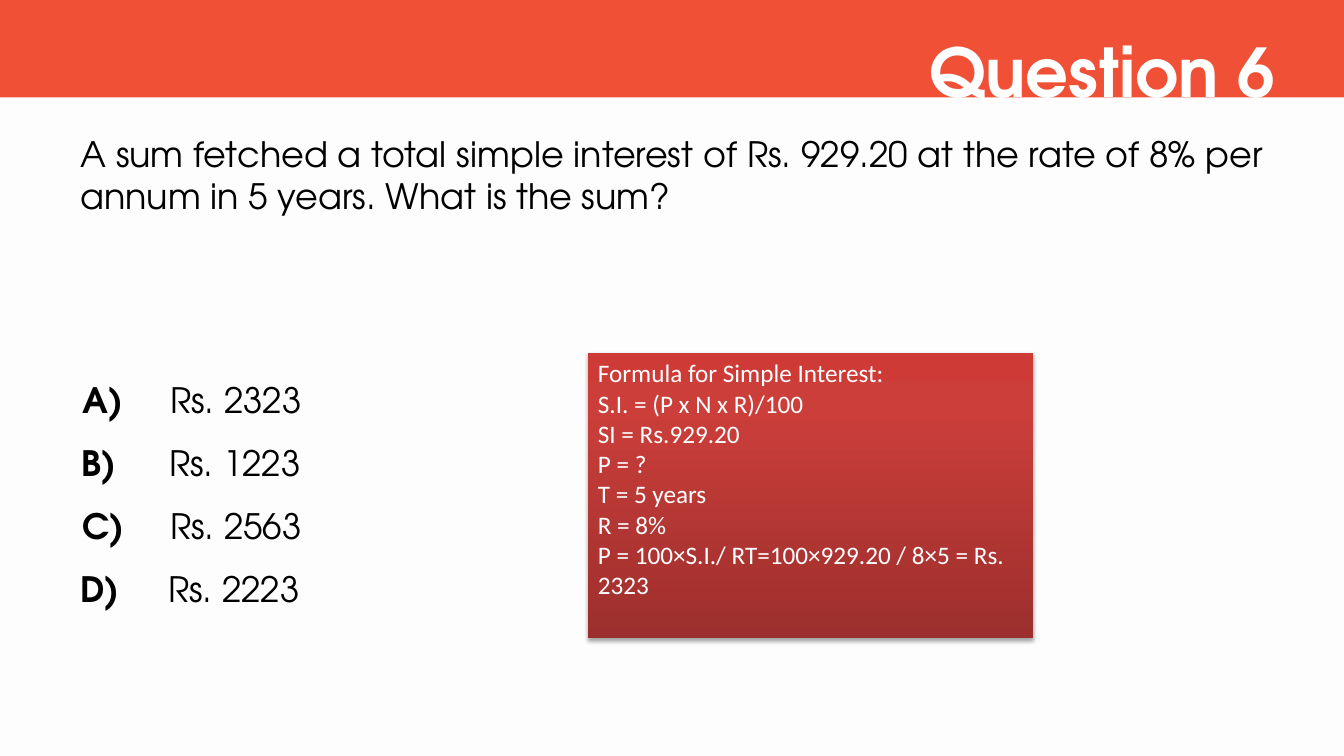
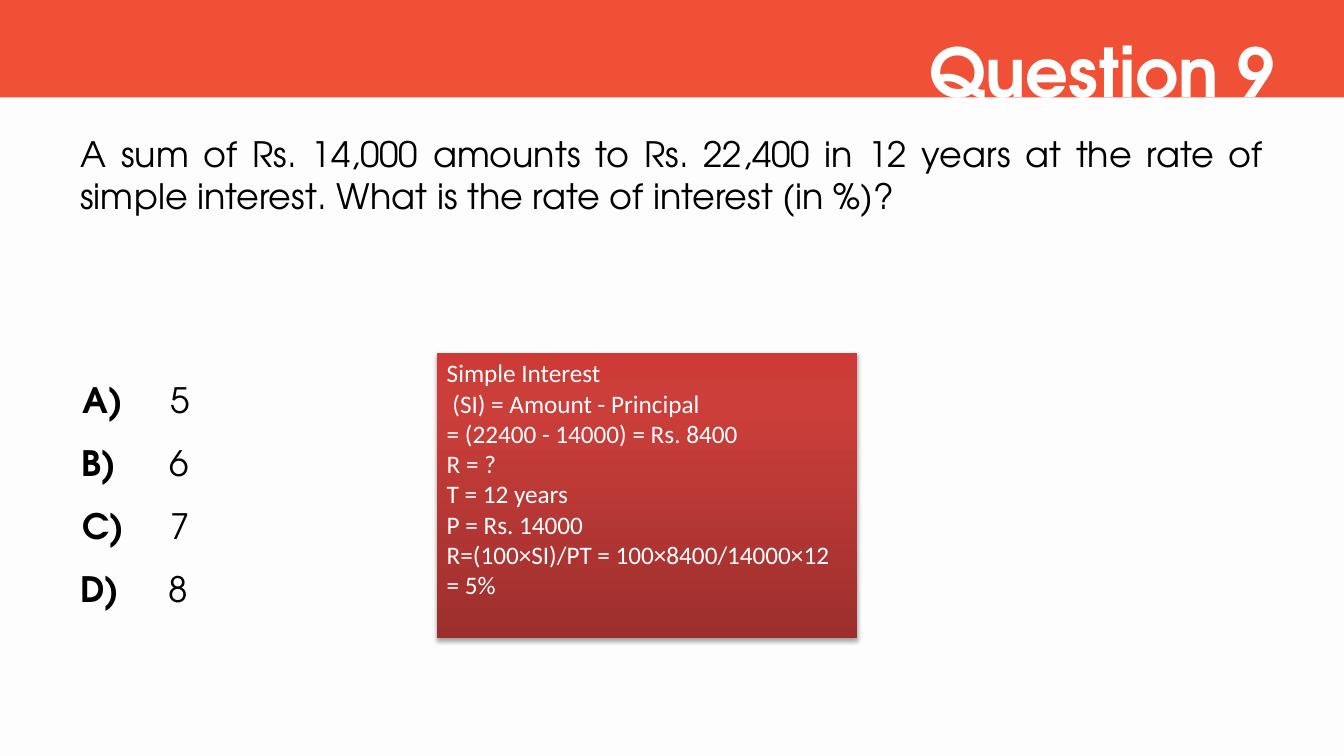
import copy

import lxml.etree
import pptx
import pptx.dml.color
import pptx.enum.shapes
import pptx.enum.text
import pptx.oxml.ns
import pptx.util

Pt = pptx.util.Pt
Align = pptx.enum.text.PP_ALIGN
qn = pptx.oxml.ns.qn


def color(value):
    return pptx.dml.color.RGBColor.from_string(value)


class QuizDeck:
    """Build quiz slides in one shared style."""

    WIDTH, HEIGHT = 960, 540
    HEADING_FONT, SOLUTION_FONT = "TeX Gyre Adventor", "Calibri"
    PAPER, BAND, INK, WHITE = "FDFDFD", "F05136", "000000", "FFFFFF"
    GRADIENT = ((0, "9C2F2D"), (0.8, "CB3E3A"), (1, "CE3B37"))
    OPTION_TOP, OPTION_STEP, ANSWER_OFFSET = 252, 45, 62.6
    OPTION_LEFTS = {"A)": 51.8, "B)": 51.1, "C)": 51.8, "D)": 50.4}

    def __init__(self):
        self.deck = pptx.Presentation()
        self.deck.slide_width = Pt(self.WIDTH)
        self.deck.slide_height = Pt(self.HEIGHT)
        self.page = None

    def add_page(self):
        self.page = self.deck.slides.add_slide(self.deck.slide_layouts[6])
        fill = self.page.background.fill
        fill.solid()
        fill.fore_color.rgb = color(self.PAPER)

    def set_text(self, frame, text, size, font, ink, bold=False, align=Align.LEFT, spacing=None):
        frame.word_wrap = True
        frame.text = text
        for para in frame.paragraphs:
            para.alignment = align
            para.line_spacing = spacing
            for span in para.runs:
                span.font.size = Pt(size)
                span.font.name = font
                span.font.bold = bold
                span.font.color.rgb = color(ink)

    def text(self, bounds, text, size=25, ink=INK, **style):
        box = self.page.shapes.add_textbox(*map(Pt, bounds))
        self.set_text(box.text_frame, text, size, self.HEADING_FONT, ink, **style)
        box.text_frame.auto_size = pptx.enum.text.MSO_AUTO_SIZE.SHAPE_TO_FIT_TEXT

    def rectangle(self, bounds):
        box = self.page.shapes.add_shape(
            pptx.enum.shapes.MSO_SHAPE.RECTANGLE, *map(Pt, bounds))
        box.line.fill.background()
        box.shadow.inherit = False
        return box

    def title(self, text):
        band = self.rectangle((0, 0, self.WIDTH, 69.6))
        band.fill.solid()
        band.fill.fore_color.rgb = color(self.BAND)
        self.text((306, 18, 612, 65.5), text, 48, self.WHITE, bold=True, align=Align.RIGHT)

    def options(self, answers):
        for row, ((label, left), answer) in enumerate(zip(self.OPTION_LEFTS.items(), answers)):
            top = self.OPTION_TOP + row * self.OPTION_STEP
            self.text((left, top, 55, 49), label, bold=True, spacing=1.5)
            self.text((left + self.ANSWER_OFFSET, top, 795, 49), answer, spacing=1.5)

    def solution(self, left, width, lines):
        box = self.rectangle((left, self.OPTION_TOP, width, 204))
        self.shade(box)
        self.cast_shadow(box)
        box.text_frame.vertical_anchor = pptx.enum.text.MSO_ANCHOR.TOP
        self.set_text(box.text_frame, "\n".join(lines), 18, self.SOLUTION_FONT, self.WHITE)

    def shade(self, box):
        box.fill.gradient()
        box.fill.gradient_angle = 90
        stop_list = box._element.spPr.find(qn("a:gradFill")).find(qn("a:gsLst"))
        stop_list.append(copy.deepcopy(stop_list[-1]))
        for stop, (position, shade) in zip(box.fill.gradient_stops, self.GRADIENT):
            stop.position = position
            stop.color.rgb = color(shade)

    def cast_shadow(self, box):
        effects = box._element.spPr.find(qn("a:effectLst"))
        shadow = lxml.etree.SubElement(
            effects, qn("a:outerShdw"), blurRad=str(Pt(3.1)), dist=str(Pt(1.8)),
            dir="5400000", rotWithShape="0")
        tint = lxml.etree.SubElement(shadow, qn("a:srgbClr"), val=self.INK)
        lxml.etree.SubElement(tint, qn("a:alpha"), val="35000")

    def question(self, number, text, answers, left, width, lines):
        self.add_page()
        self.text((50.4, 91.4, 859, 67.7), text, align=Align.JUSTIFY)
        self.options(answers)
        self.title(f"Question {number}")
        self.solution(left, width, lines)


def main():
    quiz = QuizDeck()
    quiz.question(
        6,
        "A sum fetched a total simple interest of Rs. 929.20 at the rate of 8% per annum "
        "in 5 years. What is the sum?",
        ("Rs. 2323", "Rs. 1223", "Rs. 2563", "Rs. 2223"),
        420, 318,
        ("Formula for Simple Interest:",
         "S.I. = (P x N x R)/100",
         "SI = Rs.929.20",
         "P = ?",
         "T = 5 years",
         "R = 8%",
         "P = 100×S.I./ RT=100×929.20 / 8×5 = Rs. 2323"))
    quiz.question(
        9,
        "A sum of Rs. 14,000 amounts to Rs. 22,400 in 12 years at the rate of simple interest. "
        "What is the rate of interest (in %)?",
        ("5", "6", "7", "8"),
        312, 300,
        ("Simple Interest",
         " (SI) = Amount - Principal",
         "= (22400 - 14000) = Rs. 8400",
         "R = ?",
         "T = 12 years",
         "P = Rs. 14000",
         "R=(100×SI)/PT = 100×8400/14000×12 = 5%"))
    quiz.deck.save("out.pptx")


if __name__ == "__main__":
    main()
